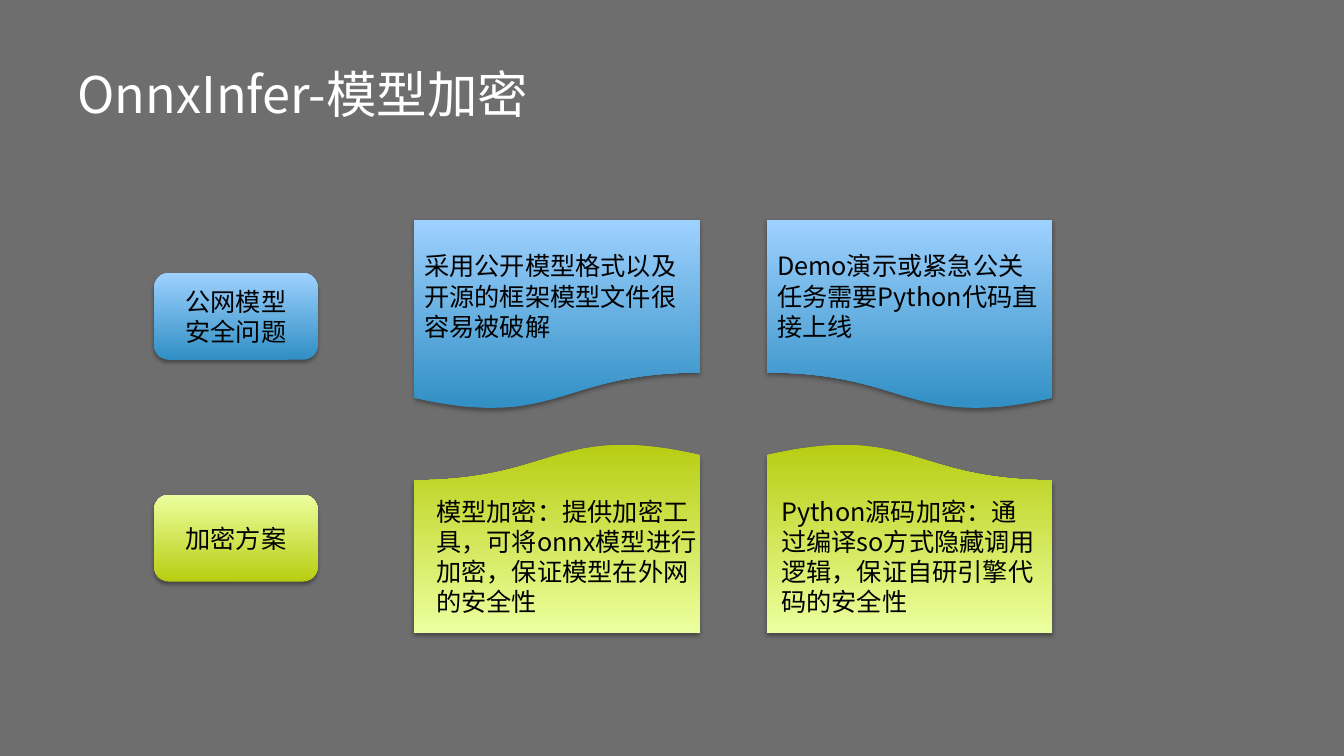
from lxml import etree
from pptx import Presentation
from pptx.dml.color import RGBColor
from pptx.enum.shapes import MSO_SHAPE as Preset
from pptx.enum.text import MSO_ANCHOR as Anchor, PP_ALIGN as Align
from pptx.oxml.ns import qn
from pptx.util import Inches, Pt

FONT = "Noto Sans CJK SC"
GRAY = RGBColor(0x6E, 0x6E, 0x6E)
WHITE = RGBColor(0xFF, 0xFF, 0xFF)
BLACK = RGBColor(0x00, 0x00, 0x00)
BLUES = (RGBColor(0x30, 0x8F, 0xC4), RGBColor(0x9E, 0xD1, 0xFF))
GREENS = (RGBColor(0xB7, 0xCD, 0x11), RGBColor(0xEC, 0xFF, 0x9E))

LABEL_LEFT, LABEL_WIDTH, LABEL_HEIGHT = 1.53, 1.62, 0.86
CARD_LEFTS, CARD_WIDTH, CARD_HEIGHT = (4.11, 7.61), 2.83, 1.89
PROBLEM_TOP, SOLUTION_TOP = 2.18, 4.39


def write_text(shape, text, size=18, color=BLACK, align=Align.LEFT, anchor=Anchor.MIDDLE):
    """Fill a shape with wrapped text, one paragraph per line."""
    frame = shape.text_frame
    frame.word_wrap = True
    frame.vertical_anchor = anchor
    frame.text = text
    for paragraph in frame.paragraphs:
        paragraph.alignment = align
        for run in paragraph.runs:
            run.font.size = Pt(size)
            run.font.name = FONT
            run.font.color.rgb = color
            east_asian = etree.SubElement(run.font._element, qn("a:ea"))
            east_asian.set("typeface", FONT)


def add_text_box(shapes, text, box, **text_format):
    """Add a text box at left, top, width, height in inches."""
    shape = shapes.add_textbox(*map(Inches, box))
    write_text(shape, text, **text_format)


def add_shadow(shape):
    """Give a shape a soft shadow that falls downwards."""
    shape.shadow.inherit = False
    effects = shape.element.spPr.find(qn("a:effectLst"))
    shadow = etree.SubElement(
        effects, qn("a:outerShdw"), blurRad=str(Pt(3.1)), dist=str(Pt(1.8)),
        dir="5400000", rotWithShape="0")
    color = etree.SubElement(shadow, qn("a:srgbClr"), val="000000")
    etree.SubElement(color, qn("a:alpha"), val="35000")


def add_gradient_shape(shapes, preset, box, colors, flips=()):
    """Add a shadowed preset shape with a vertical gradient."""
    shape = shapes.add_shape(preset, *map(Inches, box))
    shape.fill.gradient()
    shape.fill.gradient_angle = 90
    for stop, color in zip(shape.fill.gradient_stops, colors):
        stop.color.rgb = color
    shape.line.fill.background()
    add_shadow(shape)
    for flip in flips:
        shape.element.spPr.find(qn("a:xfrm")).set(flip, "1")
    return shape


def add_label(shapes, text, top, colors):
    """Add a rounded row label."""
    box = (LABEL_LEFT, top, LABEL_WIDTH, LABEL_HEIGHT)
    shape = add_gradient_shape(shapes, Preset.ROUNDED_RECTANGLE, box, colors)
    write_text(shape, text, align=Align.CENTER)


def add_problem(shapes, text, left, flips):
    """Add a blue card with its text inside."""
    box = (left, PROBLEM_TOP, CARD_WIDTH, CARD_HEIGHT)
    card = add_gradient_shape(shapes, Preset.FLOWCHART_DOCUMENT, box, BLUES, flips)
    write_text(card, text)


def add_solution(shapes, text, left, flips, text_left, text_width):
    """Group an upturned green card with its text box."""
    group = shapes.add_group_shape()
    box = (left, SOLUTION_TOP, CARD_WIDTH, CARD_HEIGHT)
    add_gradient_shape(group.shapes, Preset.FLOWCHART_DOCUMENT, box, GREENS, flips)
    add_text_box(group.shapes, text, (text_left, 4.87, text_width, 1.31), anchor=Anchor.TOP)


def main():
    """Build the model encryption slide."""
    presentation = Presentation()
    presentation.slide_width = Inches(13.33)
    presentation.slide_height = Inches(7.5)
    slide = presentation.slides.add_slide(presentation.slide_layouts[6])
    slide.background.fill.solid()
    slide.background.fill.fore_color.rgb = GRAY
    shapes = slide.shapes
    first, second = CARD_LEFTS

    add_text_box(shapes, "OnnxInfer-模型加密", (0.67, 0.3, 12, 1.25), size=36, color=WHITE)
    add_label(shapes, "公网模型\n安全问题", 2.71, BLUES)
    add_problem(shapes, "采用公开模型格式以及开源的框架模型文件很容易被破解", first, ())
    add_problem(shapes, "Demo演示或紧急公关任务需要Python代码直接上线", second, ("flipH",))
    add_solution(
        shapes, "模型加密：提供加密工具，可将onnx模型进行加密，保证模型在外网的安全性",
        first, ("flipH", "flipV"), 4.23, 2.83)
    add_solution(
        shapes, "Python源码加密：通过编译so方式隐藏调用逻辑，保证自研引擎代码的安全性",
        second, ("flipV",), 7.65, 2.74)
    add_label(shapes, "加密方案", 4.91, GREENS)
    presentation.save("out.pptx")


if __name__ == "__main__":
    main()
